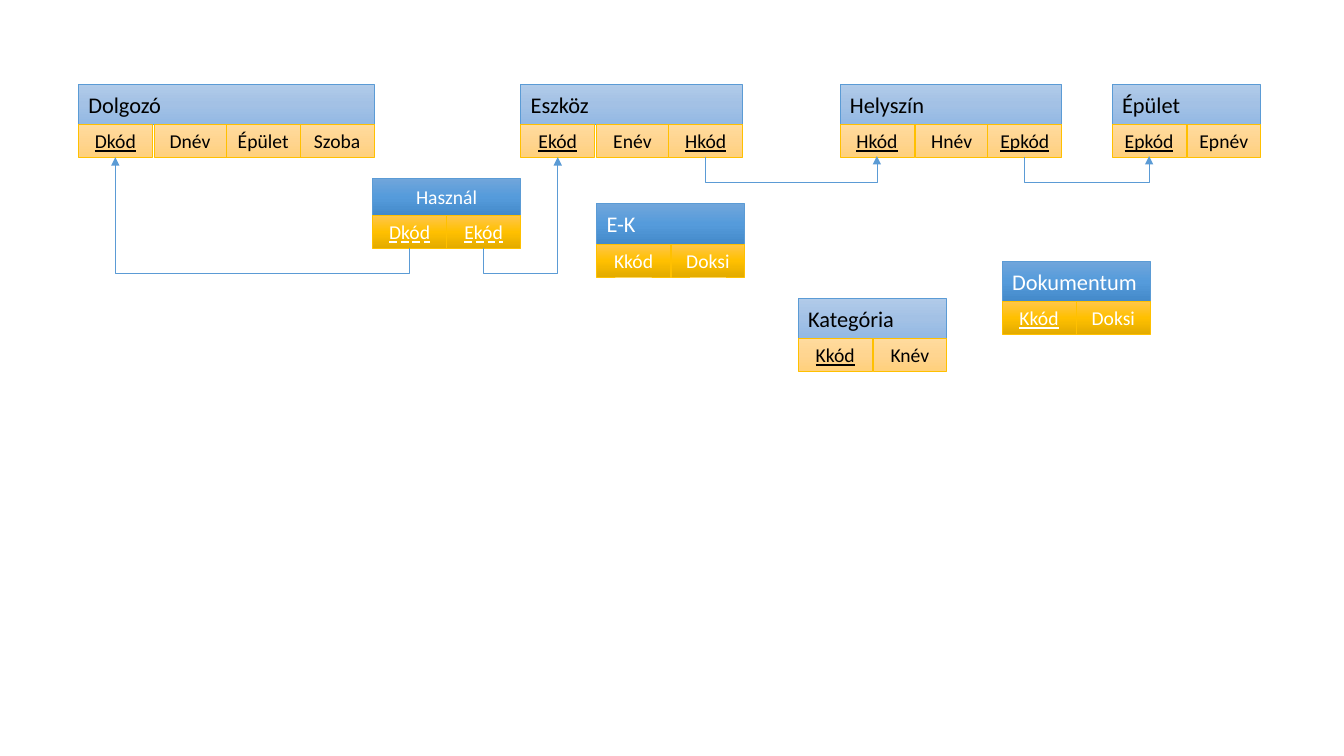
from copy import deepcopy

from lxml import etree
from pptx import Presentation
from pptx.dml.color import RGBColor
from pptx.enum.shapes import MSO_CONNECTOR, MSO_SHAPE
from pptx.enum.text import MSO_ANCHOR, MSO_UNDERLINE, PP_ALIGN
from pptx.oxml.ns import qn
from pptx.util import Pt

RECT, ELBOW = MSO_SHAPE.RECTANGLE, MSO_CONNECTOR.ELBOW
LEFT, CENTER, MIDDLE = PP_ALIGN.LEFT, PP_ALIGN.CENTER, MSO_ANCHOR.MIDDLE
SOLID, DASHED = MSO_UNDERLINE.SINGLE_LINE, MSO_UNDERLINE.DASH_LINE

BLUE, GOLD = RGBColor(0x5B, 0x9B, 0xD5), RGBColor(0xFF, 0xC0, 0x00)
BLACK, WHITE = RGBColor(0, 0, 0), RGBColor(0xFF, 0xFF, 0xFF)
LIGHT_BLUES = RGBColor(0xB1, 0xCB, 0xE9), RGBColor(0xA3, 0xC1, 0xE5), RGBColor(0x93, 0xB9, 0xE4)
LIGHT_GOLDS = RGBColor(0xFF, 0xDB, 0x9E), RGBColor(0xFF, 0xD5, 0x90), RGBColor(0xFF, 0xD0, 0x7C)
DARK_BLUES = RGBColor(0x71, 0xA6, 0xDB), RGBColor(0x55, 0x9B, 0xDB), RGBColor(0x44, 0x8A, 0xCA)
DARK_GOLDS = RGBColor(0xFF, 0xC6, 0x4B), GOLD, RGBColor(0xE3, 0xAB, 0x00)

# Looks: the gap stands before the second field of a relation
LIGHT = {"title": LIGHT_BLUES, "field": LIGHT_GOLDS, "text": BLACK, "gap": 1.2}
DARK = {"title": DARK_BLUES, "field": DARK_GOLDS, "text": WHITE, "gap": 0.5}
LINK = {**DARK, "gap": 0}
ENTITY_TITLE = {"height": 28.8, "size": 16, "align": LEFT}
LINK_TITLE = {"height": 26.4, "size": 14, "align": CENTER}

# Relations: title, left, top, look, title format, fields with key underline
RELATIONS = [
    ("Dolgozó", 56, 60, LIGHT, ENTITY_TITLE,
     [("Dkód", SOLID), ("Dnév", None), ("Épület", None), ("Szoba", None)]),
    ("Eszköz", 372, 60, LIGHT, ENTITY_TITLE,
     [("Ekód", SOLID), ("Enév", None), ("Hkód", SOLID)]),
    ("Helyszín", 600, 60, LIGHT, ENTITY_TITLE,
     [("Hkód", SOLID), ("Hnév", None), ("Epkód", SOLID)]),
    ("Épület", 794.4, 60, LIGHT, ENTITY_TITLE, [("Epkód", SOLID), ("Epnév", None)]),
    ("Kategória", 570.2, 213, LIGHT, ENTITY_TITLE, [("Kkód", SOLID), ("Knév", None)]),
    ("Használ", 266.2, 127.5, LINK, LINK_TITLE, [("Dkód", DASHED), ("Ekód", DASHED)]),
    ("Dokumentum", 715.8, 186.4, DARK, ENTITY_TITLE, [("Kkód", SOLID), ("Doksi", None)]),
    ("E-K", 426.2, 145.6, DARK, ENTITY_TITLE, [("Kkód", None), ("Doksi", None)]),
]
# Foreign key -> referenced key, as (relation, field)
REFERENCES = [
    (("Használ", "Dkód"), ("Dolgozó", "Dkód")),
    (("Használ", "Ekód"), ("Eszköz", "Ekód")),
    (("Helyszín", "Epkód"), ("Épület", "Epkód")),
    (("Eszköz", "Hkód"), ("Helyszín", "Hkód")),
]
PITCH, FIELD_HEIGHT, FIELD_SIZE = 52.8, 23.5, 14
DROP, MIN_RISE, LINE_WIDTH = 18, 0.72, 0.5
BOTTOM_SITE = 2

deck = Presentation()
deck.slide_width, deck.slide_height = Pt(960), Pt(540)
slide = deck.slides.add_slide(deck.slide_layouts[6])


def add_box(text, left, top, width, height, stops, border, align, font_format):
    box = slide.shapes.add_shape(RECT, Pt(left), Pt(top), Pt(width), Pt(height))
    box.shadow.inherit = False
    box.fill.gradient()
    box.fill.gradient_angle = 270
    stop_list = box._element.spPr.find(".//" + qn("a:gsLst"))
    stop_list.append(deepcopy(stop_list[-1]))
    for stop, color, position in zip(box.fill.gradient_stops, stops, (0, 0.5, 1)):
        stop.color.rgb = color
        stop.position = position
    box.line.color.rgb = border
    box.line.width = Pt(LINE_WIDTH)
    box.text_frame.vertical_anchor = MIDDLE
    paragraph = box.text_frame.paragraphs[0]
    paragraph.alignment = align
    run = paragraph.add_run()
    run.text = text
    run.font.color.rgb = font_format["color"]
    for name in ("name", "size", "underline"):
        setattr(run.font, name, font_format[name])
    return box


# Relations: a title above a row of equal fields
keys = {}
for title, left, top, look, title_format, fields in RELATIONS:
    font = {"name": "Calibri", "color": look["text"], "underline": None}
    add_box(title, left, top, PITCH * len(fields), title_format["height"], look["title"],
            BLUE, title_format["align"], {**font, "size": Pt(title_format["size"])})
    for column, (field, underline) in enumerate(fields):
        gap = look["gap"] if column == 1 else 0
        keys[title, field] = add_box(
            field, left + column * PITCH + gap, top + title_format["height"],
            PITCH - gap, FIELD_HEIGHT, look["field"], GOLD, CENTER,
            {**font, "size": Pt(FIELD_SIZE), "underline": underline})

# References: elbows that drop below the foreign key and rise to the key
for foreign, referenced in REFERENCES:
    (x1, y1), (x2, y2) = [(box.left + box.width // 2, box.top + box.height)
                          for box in (keys[foreign], keys[referenced])]
    rise, run_length = max(y1 - y2, Pt(MIN_RISE)), abs(x2 - x1)
    arrow = slide.shapes.add_connector(ELBOW, x1, y1, x2, y2)
    arrow.begin_connect(keys[foreign], BOTTOM_SITE)
    arrow.end_connect(keys[referenced], BOTTOM_SITE)
    arrow.line.color.rgb = BLUE
    arrow.line.width = Pt(LINE_WIDTH)
    # The elbow lies on its side: its width is the rise, its height the run
    placement = {"left": (x1 + x2 - rise) // 2, "top": y1 - (rise + run_length) // 2,
                 "width": rise, "height": run_length}
    for name, value in placement.items():
        setattr(arrow, name, value)
    properties = arrow._element.spPr
    turn = {"rot": "5400000", "flipH": "1", "flipV": str(int(x2 > x1))}
    for name, value in turn.items():
        properties.find(qn("a:xfrm")).set(name, value)
    bend = -round(Pt(DROP) / rise * 100000)
    etree.SubElement(properties.find(".//" + qn("a:avLst")), qn("a:gd"),
                     name="adj1", fmla=f"val {bend}")
    etree.SubElement(properties.find(qn("a:ln")), qn("a:tailEnd"), type="triangle")
    etree.SubElement(properties, qn("a:effectLst"))

deck.save("out.pptx")
